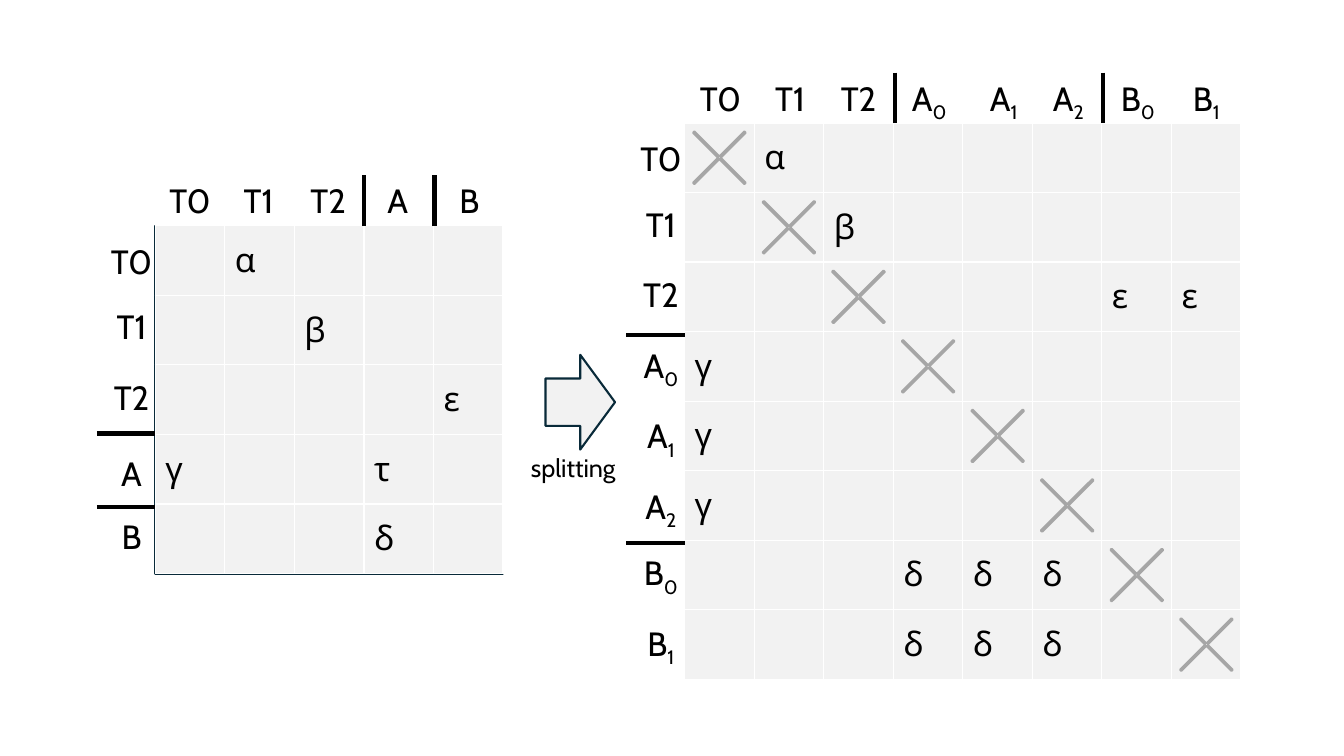
from dataclasses import dataclass

from lxml.etree import SubElement
from pptx import Presentation
from pptx.dml.color import RGBColor
from pptx.enum.shapes import MSO_CONNECTOR as Line, MSO_SHAPE as Kind
from pptx.enum.text import MSO_ANCHOR as Anchor, MSO_AUTO_SIZE as Fit, PP_ALIGN as Align
from pptx.oxml.ns import qn
from pptx.util import Inches, Pt

CELL = 0.69
HEAD = 0.5
STUB = 0.58
CROSS = 0.98
PALE, NAVY, GREY, BLACK, WHITE = "F2F2F2", "092A39", "A6A6A6", "000000", "FFFFFF"


@dataclass
class Grid:
    left: float
    top: float
    names: list[str]
    cols: list[float]   # label offsets from the left edge
    rows: list[float]   # label offsets from the top edge
    ticks: list[float]  # offsets of the upright bars
    bars: list[float]   # offsets of the level bars
    cells: list[str]    # one letter a cell, a dot where empty


SMALL = Grid(
    1.54, 2.24, ["T0", "T1", "T2", "A", "B"],
    cols=[0, 0.68, 1.37, 2.06, 2.77], rows=[0.1, 0.75, 1.45, 2.2, 2.83],
    ticks=[2.07, 2.77], bars=[2.06, 2.79],
    cells=[".α...", "..β..", "....ε", "γ..τ.", "...δ."],
)
LARGE = Grid(
    6.79, 1.22, ["T0", "T1", "T2", "A_0", "A_1", "A_2", "B_0", "B_1"],
    cols=[0.01, 0.7, 1.38, 2.08, 2.82, 3.46, 4.15, 4.83],
    rows=[0.1, 0.75, 1.45, 2.15, 2.85, 3.55, 4.21, 4.91],
    ticks=[2.09, 4.15], bars=[2.1, 4.17],
    cells=[".α......", "..β.....", "......εε", "γ.......",
           "γ.......", "γ.......", "...δδδ..", "...δδδ.."],
)

deck = Presentation()
deck.slide_width, deck.slide_height = Inches(13.33), Inches(7.5)
slide = deck.slides.add_slide(deck.slide_layouts[6])
shapes = slide.shapes


def color(code: str) -> RGBColor:
    return RGBColor.from_string(code)


def write(frame, text: str, size: float = 24, align=None) -> None:
    """Fill a text frame; what follows an underscore is a subscript."""
    par = frame.paragraphs[0]
    par.alignment = align
    for i, part in enumerate(text.split("_")):
        run = par.add_run()
        run.text = part
        run.font.name, run.font.size = "Cabin", Pt(size)
        run.font.color.rgb = color(BLACK)
        if i:
            run.font._element.set("baseline", "-25000")


def label(x: float, y: float, text: str, wide: float = CELL,
          high: float = HEAD, size: float = 24) -> None:
    box = shapes.add_textbox(Inches(x), Inches(y), Inches(wide), Inches(high))
    box.text_frame.word_wrap = True
    box.text_frame.auto_size = Fit.SHAPE_TO_FIT_TEXT
    write(box.text_frame, text, size, Align.CENTER)


def shape(kind, x: float, y: float, wide: float, high: float,
          line: str, fill: str | None = None):
    item = shapes.add_shape(kind, Inches(x), Inches(y), Inches(wide), Inches(high))
    item.shadow.inherit = False
    item.line.color.rgb, item.line.width = color(line), Pt(1.5)
    if fill:
        item.fill.solid()
        item.fill.fore_color.rgb = color(fill)
    else:
        item.fill.background()
    return item


def bar(x: float, y: float, dx: float = 0, dy: float = 0) -> None:
    line = shapes.add_connector(Line.STRAIGHT, Inches(x), Inches(y),
                                Inches(x + dx), Inches(y + dy))
    line.line.color.rgb, line.line.width = color(BLACK), Pt(3)
    SubElement(line._element.spPr, qn("a:effectLst"))


def edge(cell) -> None:
    props = cell._tc.get_or_add_tcPr()
    for i, side in enumerate(("a:lnL", "a:lnR", "a:lnT", "a:lnB")):
        rule = props.makeelement(qn(side), {"w": str(Pt(1))})
        fill = SubElement(rule, qn("a:solidFill"))
        SubElement(fill, qn("a:srgbClr"), val=WHITE)
        props.insert(i, rule)


def table(grid: Grid) -> None:
    count = len(grid.names)
    side = Inches(CELL * count)
    body = shapes.add_table(count, count, Inches(grid.left), Inches(grid.top),
                            side, side).table
    body.first_row = body.horz_banding = False
    for i, row in enumerate(grid.cells):
        body.rows[i].height = body.columns[i].width = Inches(CELL)
        for j, mark in enumerate(row):
            cell = body.cell(i, j)
            cell.fill.solid()
            cell.fill.fore_color.rgb = color(PALE)
            cell.vertical_anchor = Anchor.MIDDLE
            edge(cell)
            if mark != ".":
                write(cell.text_frame, mark)


def draw(grid: Grid) -> None:
    table(grid)
    for name, dx, dy in zip(grid.names, grid.cols, grid.rows):
        label(grid.left + dx, grid.top - HEAD, name)
        label(grid.left - STUB, grid.top + dy, name)
    for dx in grid.ticks:
        bar(grid.left + dx, grid.top - HEAD, dy=HEAD)
    for dy in grid.bars:
        bar(grid.left - STUB, grid.top + dy, dx=STUB)


# Matrix before the split, on its frame
side = CELL * len(SMALL.names)
shape(Kind.RECTANGLE, SMALL.left, SMALL.top, side, side, NAVY)
draw(SMALL)

# Matrix after the split, with its diagonal crossed out
draw(LARGE)
inset = (CELL - CROSS) / 2
for i in range(len(LARGE.names)):
    cross = shape(Kind.MATH_MULTIPLY, LARGE.left + inset + CELL * i,
                  LARGE.top + inset + CELL * i, CROSS, CROSS, GREY)
    cross.adjustments[0] = 0.017

# Arrow between the two
shape(Kind.RIGHT_ARROW, 5.41, 3.52, CELL, 0.94, NAVY, PALE)
label(4.99, 4.44, "splitting", wide=1.39, high=0.4, size=18)

deck.save("out.pptx")
